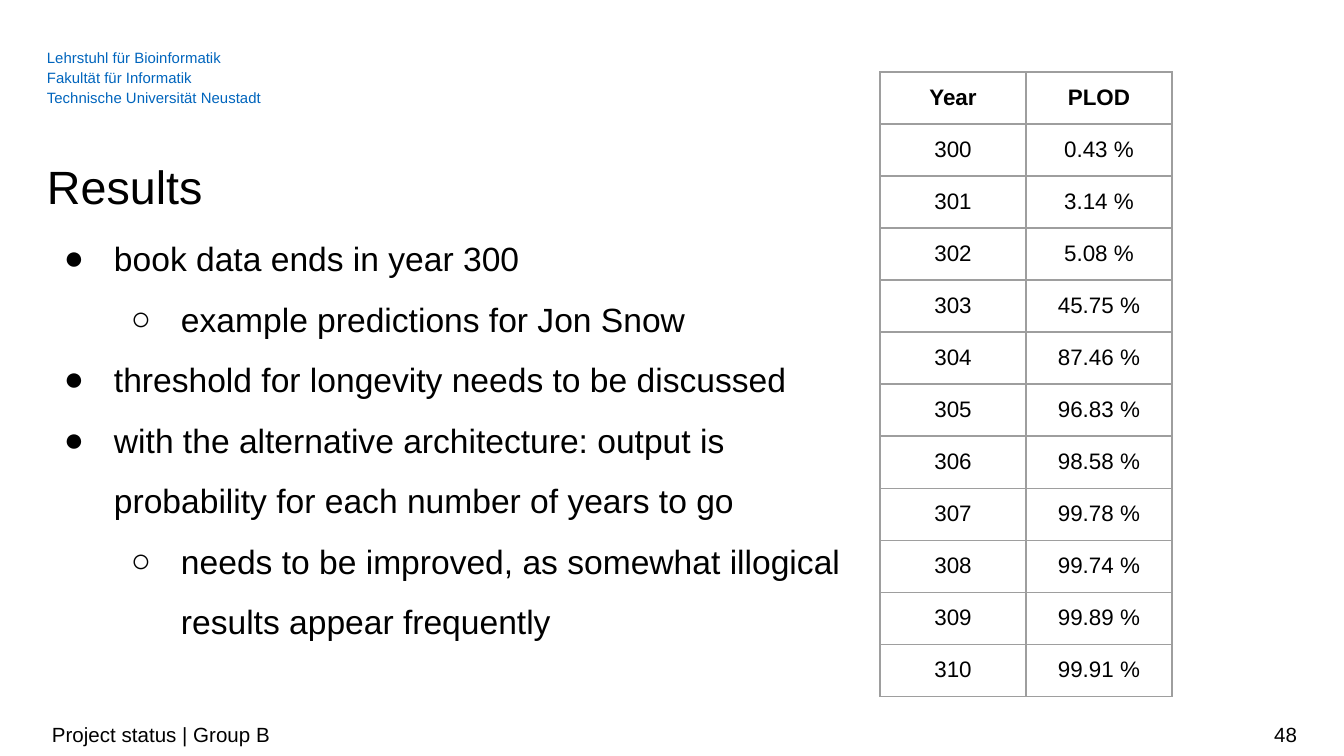
from dataclasses import dataclass

from lxml.etree import SubElement
from pptx import Presentation
from pptx.dml.color import RGBColor
from pptx.enum.text import MSO_ANCHOR, MSO_AUTO_SIZE, PP_ALIGN
from pptx.oxml.ns import qn
from pptx.util import Emu, Pt


@dataclass(frozen=True)
class Theme:
    font: str = "Arial"
    ink: str = "000000"
    blue: str = "0065BD"
    paper: str = "FFFFFF"
    rule: str = "9E9E9E"
    head: int = 8
    title: int = 25
    body: int = 18
    foot: int = 11
    cell: int = 12


theme = Theme()
SCALE = 914400 / 134.4


def px(*nums):
    return [Emu(round(num * SCALE)) for num in nums]


def write(para, text, size, color=theme.ink, align=PP_ALIGN.LEFT, space=1.0, bold=False):
    para.alignment = align
    para.line_spacing = space
    para.space_before = para.space_after = Pt(0)
    run = para.add_run()
    run.text = text
    run.font.name = theme.font
    run.font.size = Pt(size)
    run.font.bold = bold
    run.font.color.rgb = RGBColor.from_string(color)


deck = Presentation()
deck.slide_width, deck.slide_height = px(1344, 756)
slide = deck.slides.add_slide(deck.slide_layouts[1])
slide.background.fill.solid()
slide.background.fill.fore_color.rgb = RGBColor.from_string(theme.paper)

title = slide.shapes.title
body = slide.placeholders[1]
head = slide.shapes.add_textbox(*px(47, 47, 1052, 51))
foot = slide.shapes.add_textbox(*px(46, 714, 950, 40))
page = slide.shapes.add_textbox(*px(996, 714, 301, 40))
title.left, title.top, title.width, title.height = px(47, 142, 1251, 55)
body.left, body.top, body.width, body.height = px(47, 218, 805, 496)

for box in (title, body, head, foot, page):
    frame = box.text_frame
    frame.word_wrap = True
    frame.auto_size = MSO_AUTO_SIZE.NONE
    frame.vertical_anchor = MSO_ANCHOR.TOP
    frame.margin_left = frame.margin_right = 0
    frame.margin_top = frame.margin_bottom = 0
for box in (foot, page):
    box.text_frame.vertical_anchor = MSO_ANCHOR.MIDDLE
foot.text_frame.margin_left = px(6)[0]

lines = [
    "Lehrstuhl für Bioinformatik",
    "Fakultät für Informatik",
    "Technische Universität Neustadt",
]
for i, text in enumerate(lines):
    para = head.text_frame.add_paragraph() if i else head.text_frame.paragraphs[0]
    write(para, text, theme.head, theme.blue, space=1.12)

write(title.text_frame.paragraphs[0], "Results", theme.title, space=1.28)
write(foot.text_frame.paragraphs[0], "Project status | Group B", theme.foot)
write(page.text_frame.paragraphs[0], "48", theme.foot, align=PP_ALIGN.RIGHT)

points = [
    (0, "book data ends in year 300"),
    (1, "example predictions for Jon Snow"),
    (0, "threshold for longevity needs to be discussed"),
    (0, "with the alternative architecture: output is probability for each number of years to go"),
    (1, "needs to be improved, as somewhat illogical results appear frequently"),
]
for i, (level, text) in enumerate(points):
    para = body.text_frame.add_paragraph() if i else body.text_frame.paragraphs[0]
    para.level = level
    write(para, text, theme.body, space=1.5)
    left, hang = px(67 * (level + 1), -50)
    props = para._p.get_or_add_pPr()
    props.set("marL", str(left))
    props.set("indent", str(hang))
    SubElement(SubElement(props, qn("a:buClr")), qn("a:srgbClr"), val=theme.ink)
    SubElement(props, qn("a:buFont"), typeface=theme.font)
    SubElement(props, qn("a:buChar"), char="●○"[level])

odds = [0.43, 3.14, 5.08, 45.75, 87.46, 96.83, 98.58, 99.78, 99.74, 99.89, 99.91]
rows = [("Year", "PLOD")]
rows += [(str(year), f"{odd:.2f} %") for year, odd in enumerate(odds, 300)]
table = slide.shapes.add_table(len(rows), 2, *px(880, 72, 292, 576)).table
table.first_row = table.horz_banding = False
for col in table.columns:
    col.width = px(146)[0]
for r, row in enumerate(rows):
    table.rows[r].height = px(48)[0]
    for c, text in enumerate(row):
        cell = table.cell(r, c)
        cell.margin_left = cell.margin_right = Pt(7.2)
        cell.margin_top = cell.margin_bottom = Pt(7.2)
        write(cell.text_frame.paragraphs[0], text, theme.cell,
              align=PP_ALIGN.CENTER, bold=r == 0)
        props = cell._tc.get_or_add_tcPr()
        for side in ("lnL", "lnR", "lnT", "lnB"):
            line = SubElement(props, qn(f"a:{side}"), w=str(Pt(0.75)))
            fill = SubElement(line, qn("a:solidFill"))
            SubElement(fill, qn("a:srgbClr"), val=theme.rule)
        cell.fill.background()

deck.save("out.pptx")
